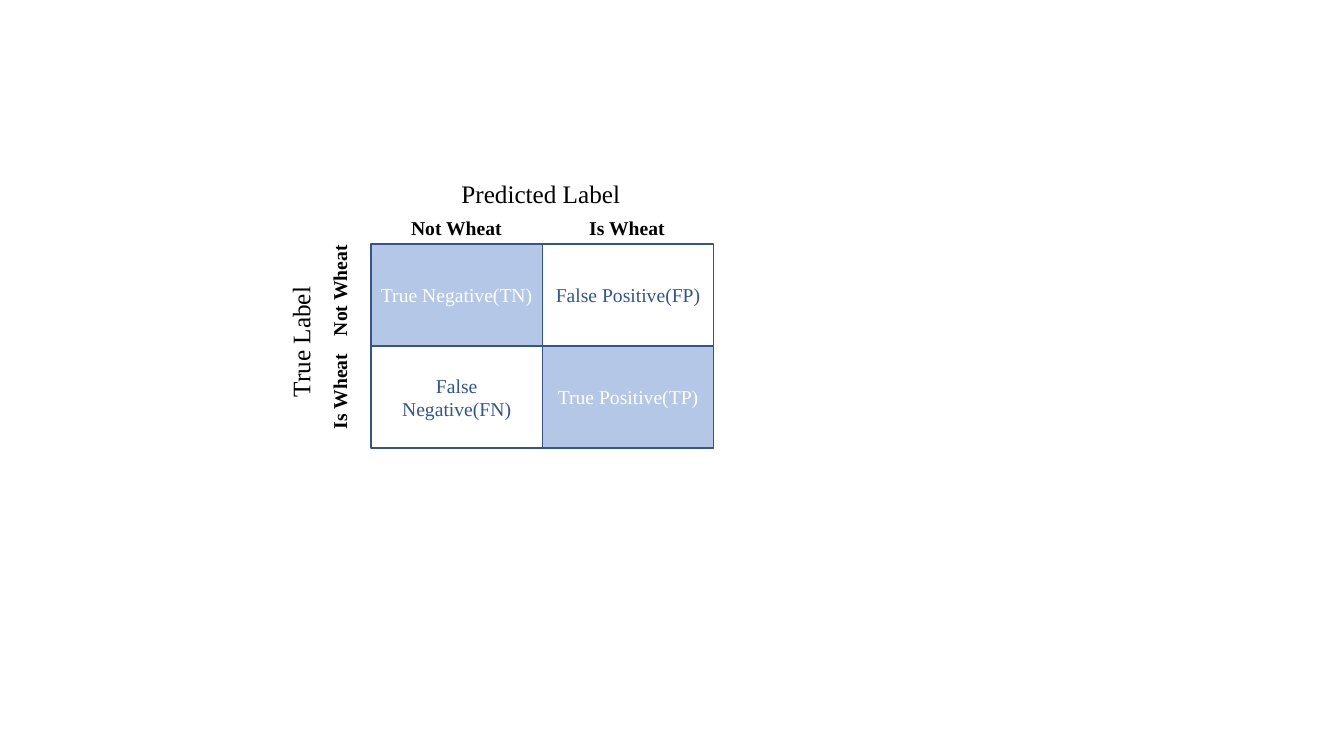
from dataclasses import dataclass

from pptx import Presentation
from pptx import util as u
from pptx.dml.color import RGBColor
from pptx.enum import shapes, text
from pptx.slide import Slide
from pptx.text.text import TextFrame

FONT = "Times New Roman"
WHITE = RGBColor(0xFF, 0xFF, 0xFF)
BLACK = RGBColor(0x00, 0x00, 0x00)
LIGHT_BLUE = RGBColor(0xB4, 0xC7, 0xE7)
DARK_BLUE = RGBColor(0x2F, 0x55, 0x97)
BORDER_BLUE = RGBColor(0x32, 0x54, 0x91)

MATRIX_LEFT, MATRIX_TOP = 9.35, 6.15
CELL_WIDTH, CELL_HEIGHT = 4.32, 2.57


@dataclass
class Cell:
    row: int
    column: int
    wording: str


@dataclass
class Label:
    wording: str
    left: float
    top: float
    width: float
    height: float
    size: int = 14
    bold: bool = True
    upward: bool = False


CELLS = [
    Cell(0, 1, "False Positive(FP)"),
    Cell(0, 0, "True Negative(TN)"),
    Cell(1, 0, "False Negative(FN)"),
    Cell(1, 1, "True Positive(TP)"),
]

LABELS = [
    Label("Not Wheat", 10.11, 5.31, 2.82, 0.86),
    Label("Is Wheat", 14.6, 5.31, 2.44, 0.86),
    Label("Is Wheat", 8.13, 8.89, 1.12, 2.18, upward=True),
    Label("Not Wheat", 8.13, 6.15, 1.12, 2.57, upward=True),
    Label("Predicted Label", 11.38, 4.37, 4.55, 1.02, size=18, bold=False),
    Label("True Label", 7.06, 7.19, 1.27, 3.07, size=18, bold=False, upward=True),
]


def write(frame: TextFrame, wording: str, size: int, color: RGBColor,
          bold: bool, alignment: text.PP_ALIGN) -> None:
    paragraph = frame.paragraphs[0]
    paragraph.alignment = alignment
    run = paragraph.add_run()
    run.text = wording
    run.font.name = FONT
    run.font.size = u.Pt(size)
    run.font.bold = bold
    run.font.color.rgb = color


def add_cell(slide: Slide, cell: Cell) -> None:
    """Draw one matrix cell; correct predictions lie on the shaded diagonal."""
    correct = cell.row == cell.column
    shape = slide.shapes.add_shape(
        shapes.MSO_SHAPE.RECTANGLE,
        u.Cm(MATRIX_LEFT + cell.column * CELL_WIDTH),
        u.Cm(MATRIX_TOP + cell.row * CELL_HEIGHT),
        u.Cm(CELL_WIDTH), u.Cm(CELL_HEIGHT))
    shape.shadow.inherit = False
    shape.fill.solid()
    shape.fill.fore_color.rgb = LIGHT_BLUE if correct else WHITE
    shape.line.color.rgb = BORDER_BLUE
    shape.line.width = u.Pt(1)
    frame = shape.text_frame
    frame.word_wrap = True
    frame.vertical_anchor = text.MSO_ANCHOR.MIDDLE
    write(frame, cell.wording, 14, WHITE if correct else DARK_BLUE,
          False, text.PP_ALIGN.CENTER)


def add_label(slide: Slide, label: Label) -> None:
    box = slide.shapes.add_textbox(u.Cm(label.left), u.Cm(label.top),
                                   u.Cm(label.width), u.Cm(label.height))
    frame = box.text_frame
    frame.word_wrap = False
    frame.auto_size = text.MSO_AUTO_SIZE.SHAPE_TO_FIT_TEXT
    if label.upward:
        frame._txBody.bodyPr.set("vert", "vert270")
    write(frame, label.wording, label.size, BLACK, label.bold,
          text.PP_ALIGN.LEFT)


def main() -> None:
    presentation = Presentation()
    presentation.slide_width = u.Cm(33.87)
    presentation.slide_height = u.Cm(19.05)
    slide = presentation.slides.add_slide(presentation.slide_layouts[6])
    for cell in CELLS:
        add_cell(slide, cell)
    for label in LABELS:
        add_label(slide, label)
    presentation.save("out.pptx")


if __name__ == "__main__":
    main()
